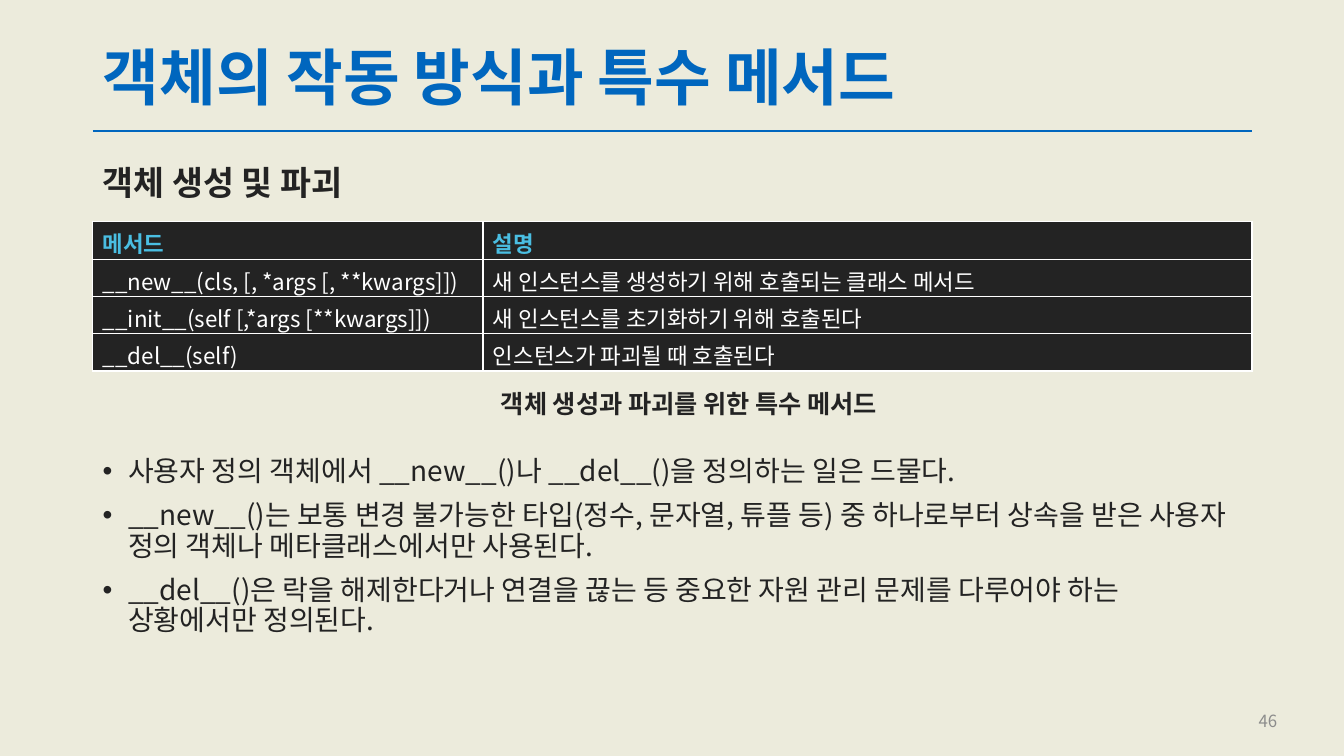
from lxml import etree
from pptx import Presentation
from pptx.dml.color import RGBColor
from pptx.enum.shapes import MSO_CONNECTOR
from pptx.enum.text import MSO_ANCHOR, PP_ALIGN
from pptx.oxml.ns import qn
from pptx.util import Cm, Pt

LEFT, CENTER, RIGHT = PP_ALIGN.LEFT, PP_ALIGN.CENTER, PP_ALIGN.RIGHT
TOP, MIDDLE = MSO_ANCHOR.TOP, MSO_ANCHOR.MIDDLE
STRAIGHT = MSO_CONNECTOR.STRAIGHT

FONT = "Noto Sans CJK KR"
BLUE, DARK, CYAN = "0066BE", "232323", "4ABEE2"
WHITE, GRAY, CREAM = "FFFFFF", "8C8C8C", "ECEBDC"
MARGIN, CONTENT_WIDTH = 2.34, 29.21
COLUMN_WIDTHS = [9.83, 19.38]
ROW_HEIGHT = 0.94

METHODS = [
    ("메서드", "설명"),
    ("__new__(cls, [, *args [, **kwargs]])", "새 인스턴스를 생성하기 위해 호출되는 클래스 메서드"),
    ("__init__(self [,*args [**kwargs]])", "새 인스턴스를 초기화하기 위해 호출된다"),
    ("__del__(self)", "인스턴스가 파괴될 때 호출된다"),
]
NOTES = [
    "사용자 정의 객체에서 __new__()나 __del__()을 정의하는 일은 드물다.",
    "__new__()는 보통 변경 불가능한 타입(정수, 문자열, 튜플 등) 중 하나로부터 "
    "상속을 받은 사용자 정의 객체나 메타클래스에서만 사용된다.",
    "__del__()은 락을 해제한다거나 연결을 끊는 등 중요한 자원 관리 문제를 "
    "다루어야 하는 상황에서만 정의된다.",
]


def color(value):
    return RGBColor.from_string(value)


def add_bullet(paragraph):
    properties = paragraph._p.get_or_add_pPr()
    properties.set("marL", str(Cm(0.64)))
    properties.set("indent", str(-Cm(0.64)))
    font = etree.SubElement(properties, qn("a:buFont"))
    font.set("typeface", "Arial")
    etree.SubElement(properties, qn("a:buChar")).set("char", "•")


def write_text(paragraph, text, size=20, fill=DARK, bold=False, align=LEFT,
               line_spacing=1.0, space_before=0, bullet=False):
    paragraph.alignment = align
    paragraph.line_spacing = line_spacing
    paragraph.space_before = Pt(space_before)
    if bullet:
        add_bullet(paragraph)
    run = paragraph.add_run()
    run.text = text
    run.font.size = Pt(size)
    run.font.bold = bold
    run.font.color.rgb = color(fill)
    run.font.name = FONT
    east_asian = etree.SubElement(run.font._element, qn("a:ea"))
    east_asian.set("typeface", FONT)


def add_text(slide, box, lines, anchor=TOP, wrap=True, **text_format):
    shape = slide.shapes.add_textbox(*(Cm(length) for length in box))
    frame = shape.text_frame
    frame.word_wrap = wrap
    frame.vertical_anchor = anchor
    for index, line in enumerate(lines):
        paragraph = frame.add_paragraph() if index else frame.paragraphs[0]
        write_text(paragraph, line, space_before=10 if index else 0, **text_format)


def add_rule(slide, top):
    rule = slide.shapes.add_connector(
        STRAIGHT, Cm(MARGIN), Cm(top), Cm(MARGIN + CONTENT_WIDTH), Cm(top))
    rule.line.color.rgb = color(BLUE)
    rule.line.width = Pt(1.5)
    etree.SubElement(rule._element.spPr, qn("a:effectLst"))


def set_borders(cell):
    properties = cell._tc.get_or_add_tcPr()
    for index, side in enumerate(("a:lnL", "a:lnR", "a:lnT", "a:lnB")):
        border = etree.Element(qn(side), w=str(Pt(1)))
        fill = etree.SubElement(border, qn("a:solidFill"))
        etree.SubElement(fill, qn("a:srgbClr")).set("val", WHITE)
        properties.insert(index, border)


def add_method_table(slide, top):
    table = slide.shapes.add_table(
        len(METHODS), len(COLUMN_WIDTHS), Cm(MARGIN), Cm(top),
        Cm(CONTENT_WIDTH), Cm(ROW_HEIGHT * len(METHODS))).table
    table.horz_banding = False
    for column, width in zip(table.columns, COLUMN_WIDTHS):
        column.width = Cm(width)
    for row_index, texts in enumerate(METHODS):
        header = row_index == 0
        for column_index, text in enumerate(texts):
            cell = table.cell(row_index, column_index)
            cell.fill.solid()
            cell.fill.fore_color.rgb = color(DARK)
            cell.vertical_anchor = MIDDLE
            set_borders(cell)
            write_text(cell.text_frame.paragraphs[0], text, size=16,
                       fill=CYAN if header else WHITE, bold=header)


def main():
    presentation = Presentation()
    presentation.slide_width, presentation.slide_height = Cm(33.87), Cm(19.05)
    slide = presentation.slides.add_slide(presentation.slide_layouts[6])
    slide.background.fill.solid()
    slide.background.fill.fore_color.rgb = color(CREAM)

    add_rule(slide, 3.3)
    add_text(slide, (MARGIN, 1.02, CONTENT_WIDTH, 2.03), ["객체의 작동 방식과 특수 메서드"],
             anchor=MIDDLE, size=44, fill=BLUE, bold=True, line_spacing=0.9)
    add_text(slide, (24.82, 17.65, 7.62, 1.02), ["46"],
             anchor=MIDDLE, size=12, fill=GRAY, align=RIGHT)
    add_text(slide, (MARGIN, 4.06, CONTENT_WIDTH, 1.27), ["객체 생성 및 파괴"],
             size=24, bold=True, line_spacing=0.9)
    add_method_table(slide, 5.59)
    add_text(slide, (11.61, 9.65, 11.51, 1.02), ["객체 생성과 파괴를 위한 특수 메서드"],
             wrap=False, size=18, bold=True, align=CENTER)
    add_text(slide, (MARGIN, 11.4, CONTENT_WIDTH, 5.51), NOTES,
             line_spacing=0.9, bullet=True)
    presentation.save("out.pptx")


if __name__ == "__main__":
    main()
